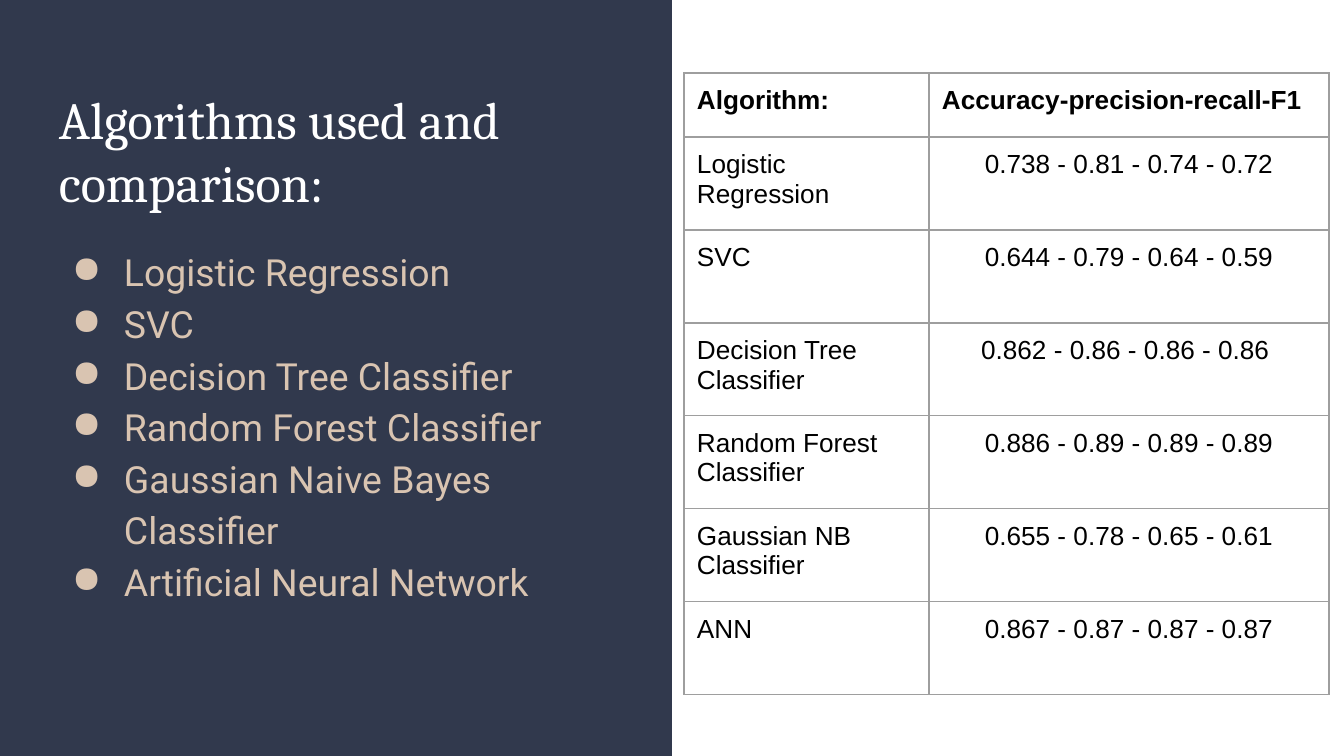
from dataclasses import dataclass

from lxml import etree
from pptx import Presentation
from pptx.dml.color import RGBColor
from pptx.enum.shapes import MSO_SHAPE
from pptx.enum.text import MSO_ANCHOR, PP_ALIGN
from pptx.oxml.ns import qn
from pptx.util import Emu, Pt

RECT = MSO_SHAPE.RECTANGLE
TOP = MSO_ANCHOR.TOP
LEFT, MID = PP_ALIGN.LEFT, PP_ALIGN.CENTER
SCALE = 914400 / 134.4
PAD = 13
EDGES = ("lnL", "lnR", "lnT", "lnB")


@dataclass(frozen=True)
class Theme:
    """Colours, fonts and type sizes."""
    navy: str = "31394D"
    white: str = "FFFFFF"
    sand: str = "D9C4B1"
    black: str = "000000"
    grey: str = "9E9E9E"
    title: tuple = ("Cambria", 28)
    list: tuple = ("Roboto", 20)
    cell: tuple = ("Arial", 14)
    rule: float = 0.75


THEME = Theme()
ITEMS = (
    "Logistic Regression",
    "SVC",
    "Decision Tree Classifier",
    "Random Forest Classifier",
    "Gaussian Naive Bayes Classifier",
    "Artificial Neural Network",
)
HEAD = ("Algorithm:", "Accuracy-precision-recall-F1")
SCORES = (
    ("Logistic Regression", "0.738 - 0.81 - 0.74 - 0.72"),
    ("SVC", "0.644 - 0.79 - 0.64 - 0.59"),
    ("Decision Tree Classifier", "0.862 - 0.86 - 0.86 - 0.86 "),
    ("Random Forest Classifier", "0.886 - 0.89 - 0.89 - 0.89"),
    ("Gaussian NB Classifier", "0.655 - 0.78 - 0.65 - 0.61"),
    ("ANN", "0.867 - 0.87 - 0.87 - 0.87"),
)


def px(n):
    """Turn px into EMU."""
    return Emu(round(n * SCALE))


def apply(obj, **vals):
    """Set each given attribute on an object."""
    for name, val in vals.items():
        setattr(obj, name, val)


def inset(obj, high):
    """Set the margins of a text frame or a cell."""
    apply(obj, margin_left=px(PAD), margin_right=px(PAD),
          margin_top=px(high), margin_bottom=px(high))


def write(para, text, face, color, bold=False, **form):
    """Put one styled run into a paragraph."""
    run = para.add_run()
    run.text = text
    name, size = face
    apply(run.font, name=name, size=Pt(size), bold=bold)
    run.font.color.rgb = RGBColor.from_string(color)
    apply(para, **form)


def bullet(para, color):
    """Give a paragraph a hanging round bullet."""
    props = para._p.get_or_add_pPr()
    props.set("marL", str(px(67)))
    props.set("indent", str(px(-52)))
    tint = etree.SubElement(props, qn("a:buClr"))
    etree.SubElement(tint, qn("a:srgbClr"), val=color)
    etree.SubElement(props, qn("a:buChar"), char="●")


def panel(slide, box, color):
    """Draw a plain filled rectangle."""
    shape = slide.shapes.add_shape(RECT, *map(px, box))
    shape.shadow.inherit = False
    shape.fill.solid()
    shape.fill.fore_color.rgb = RGBColor.from_string(color)
    shape.line.fill.background()


def frame(slide, box, high):
    """Add a wrapped text box and return its frame."""
    body = slide.shapes.add_textbox(*map(px, box)).text_frame
    apply(body, word_wrap=True, vertical_anchor=TOP)
    inset(body, high)
    return body


def title(slide, box, text):
    """Add the slide title."""
    body = frame(slide, box, PAD)
    write(body.paragraphs[0], text, THEME.title, THEME.white)


def points(slide, box, items):
    """Add the bulleted list."""
    body = frame(slide, box, 0)
    for i, item in enumerate(items):
        para = body.add_paragraph() if i else body.paragraphs[0]
        write(para, item, THEME.list, THEME.sand, line_spacing=1.15)
        bullet(para, THEME.sand)


def border(cell):
    """Rule all four edges of a cell."""
    props = cell._tc.get_or_add_tcPr()
    for i, edge in enumerate(EDGES):
        line = etree.Element(qn(f"a:{edge}"), w=str(Pt(THEME.rule)))
        fill = etree.SubElement(line, qn("a:solidFill"))
        etree.SubElement(fill, qn("a:srgbClr"), val=THEME.grey)
        props.insert(i, line)


def grid(slide, left, top, cols, rows, data):
    """Add the score table with a bold header row."""
    box = (left, top, sum(cols), sum(rows))
    table = slide.shapes.add_table(len(rows), len(cols), *map(px, box)).table
    apply(table, first_row=False, horz_banding=False)
    for col, wide in zip(table.columns, cols):
        col.width = px(wide)
    for r, (high, texts) in enumerate(zip(rows, data)):
        table.rows[r].height = px(high)
        for c, text in enumerate(texts):
            cell = table.cell(r, c)
            inset(cell, PAD)
            cell.fill.background()
            border(cell)
            write(cell.text_frame.paragraphs[0], text, THEME.cell,
                  THEME.black, bold=r == 0,
                  alignment=MID if r and c else LEFT)


def main():
    """Build and save the slide."""
    deck = Presentation()
    apply(deck, slide_width=px(1344), slide_height=px(756))
    slide = deck.slides.add_slide(deck.slide_layouts[6])
    panel(slide, (0, 0, 672, 756), THEME.navy)
    title(slide, (46, 74, 544, 301), "Algorithms used and comparison:")
    points(slide, (44, 243, 581, 418), ITEMS)
    rows = [64] + [93] * len(SCORES)
    grid(slide, 684, 73, (245, 400), rows, (HEAD, *SCORES))
    deck.save("out.pptx")


if __name__ == "__main__":
    main()
